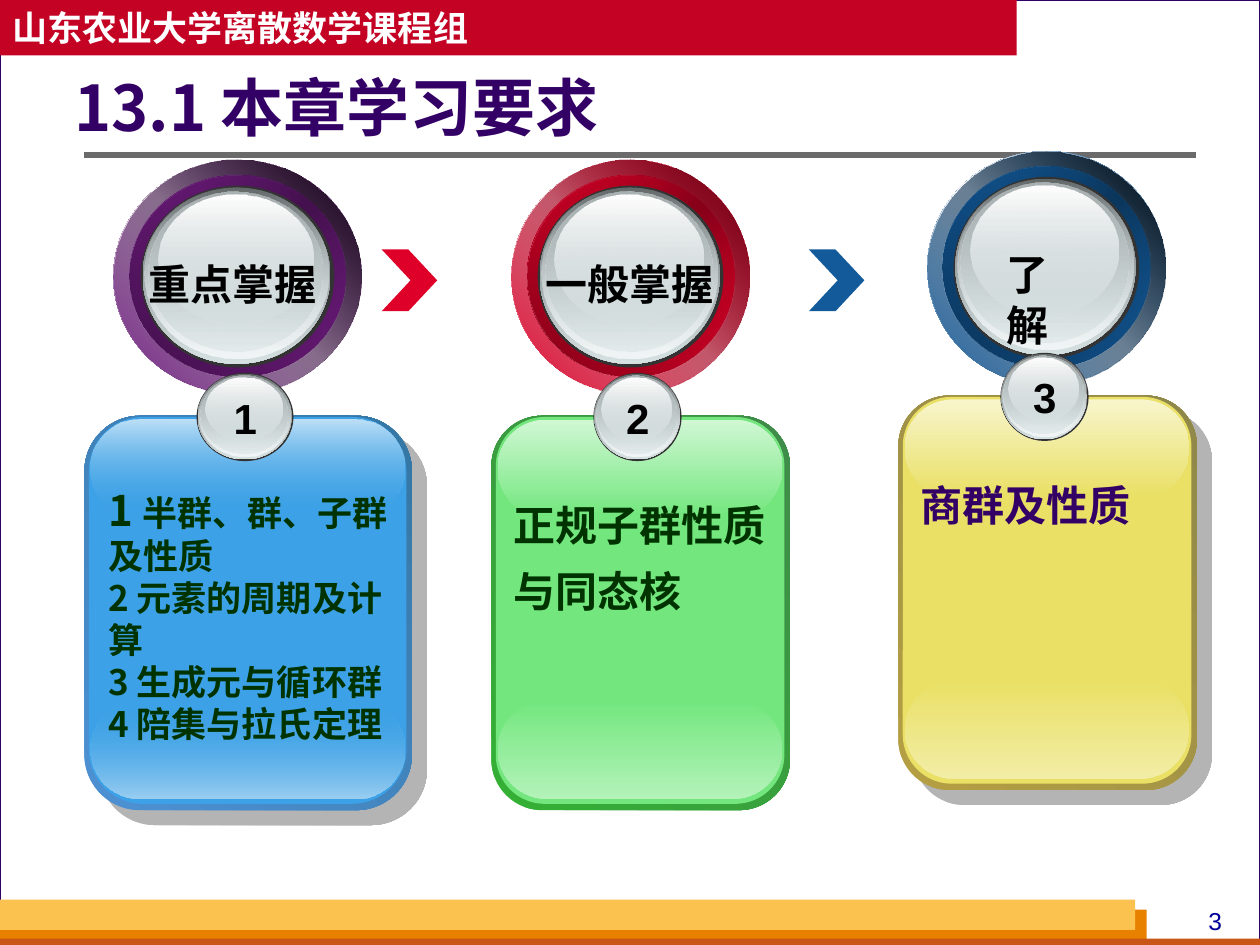
from lxml.etree import SubElement
from pptx import Presentation
from pptx.dml.color import RGBColor
from pptx.enum.shapes import MSO_CONNECTOR as Connector, MSO_SHAPE as Shape
from pptx.enum.text import MSO_ANCHOR as Anchor, PP_ALIGN as Align
from pptx.oxml.ns import qn
from pptx.util import Inches, Pt

COLOURS = {
    "white": "FFFFFF", "black": "000000", "backdrop": "D8DADA", "indigo": "330066",
    "navy": "000099", "forest": "003300", "grey": "6B6B6B", "header": "C30224",
    "orange": "E88000", "rust": "C95616", "amber": "FCC24F", "red": "DF0029",
    "blue": "135A9A", "rim": "333333", "steel": "636869", "silver": "D6E1E2",
    "pearl": "F1F5F5", "ash": "AAB2B3",
}
CJK, LATIN = "Noto Sans CJK SC", "Arial"
COLUMNS, ROWS = 100, 75


def hex_of(colour):
    return COLOURS.get(colour, colour)


def rgb(colour):
    return RGBColor.from_string(hex_of(colour))


def add_run(paragraph, text, size, font, colour, bold):
    run = paragraph.add_run()
    run.text = text
    run.font.size, run.font.bold, run.font.name = Pt(size), bold, font
    run.font.color.rgb = rgb(colour)
    SubElement(run.font._element, qn("a:ea")).set("typeface", CJK)


def write(shape, text, size=24, font=CJK, colour="black", bold=True, align=Align.LEFT,
          spacing=None, anchor=Anchor.TOP, wrap=True, left_inset=0.1, number_size=None):
    frame = shape.text_frame
    frame.word_wrap, frame.vertical_anchor = wrap, anchor
    frame.margin_left, frame.margin_right = Inches(left_inset), Inches(0.1)
    frame.margin_top = frame.margin_bottom = Inches(0.05)
    for index, line in enumerate(text.split("\n")):
        paragraph = frame.add_paragraph() if index else frame.paragraphs[0]
        paragraph.alignment = align
        if spacing:
            paragraph.line_spacing = spacing
        if number_size and index == 0:
            number, space, line = line.partition(" ")
            add_run(paragraph, number + space, number_size, font, colour, bold)
        add_run(paragraph, line, size, font, colour, bold)


class SlideBuilder:
    def __init__(self, presentation):
        self.column = presentation.slide_width / COLUMNS
        self.row = presentation.slide_height / ROWS
        self.slide = presentation.slides.add_slide(presentation.slide_layouts[5])
        self.slide.background.fill.solid()
        self.slide.background.fill.fore_color.rgb = rgb("backdrop")
        self.canvas = self.slide.shapes

    def start_group(self):
        self.canvas = self.slide.shapes.add_group_shape().shapes

    def end_group(self):
        self.canvas = self.slide.shapes

    def box(self, left, top, width, height):
        return (round(left * self.column), round(top * self.row),
                round(width * self.column), round(height * self.row))

    def shape(self, kind, area, fill, adjust=None, line=None):
        shape = self.canvas.add_shape(kind, *self.box(*area))
        if adjust is not None:
            shape.adjustments[0] = adjust
        shape.fill.solid()
        shape.fill.fore_color.rgb = rgb(fill)
        if line:
            shape.line.color.rgb, shape.line.width = rgb(line), Pt(0.75)
        else:
            shape.line.fill.background()
        shape.shadow.inherit = False
        return shape

    def gradient(self, kind, area, stops, angle=270, adjust=None):
        shape = self.shape(kind, area, "white", adjust)
        shape.fill.gradient()
        shape.fill.gradient_angle = angle
        stop_list = shape._element.spPr.find(".//" + qn("a:gsLst"))
        stop_list.clear()
        for index, (colour, opacity) in enumerate(stops):
            stop = SubElement(stop_list, qn("a:gs"))
            stop.set("pos", str(round(100000 * index / (len(stops) - 1))))
            tint = SubElement(stop, qn("a:srgbClr"))
            tint.set("val", hex_of(colour))
            if opacity < 100:
                SubElement(tint, qn("a:alpha")).set("val", str(opacity * 1000))
        return shape

    def drop_shadow(self, shape):
        effects = shape._element.spPr.find(qn("a:effectLst"))
        shadow = SubElement(effects, qn("a:outerShdw"), blurRad="0", dist=str(Pt(12.1)),
                            dir="2700000", algn="ctr", rotWithShape="0")
        tint = SubElement(shadow, qn("a:srgbClr"), val=hex_of("grey"))
        SubElement(tint, qn("a:alpha"), val="50000")

    def text(self, area, text, **style):
        write(self.canvas.add_textbox(*self.box(*area)), text, **style)

    def title(self, area, text, **style):
        title = self.slide.shapes.title
        title.left, title.top, title.width, title.height = self.box(*area)
        self.slide.shapes._spTree.append(title._element)
        write(title, text, **style)

    def rule(self, left, right, top):
        x1, y, x2, _ = self.box(left, top, right, 0)
        line = self.canvas.add_connector(Connector.STRAIGHT, x1, y, x2, y)
        line.line.color.rgb, line.line.width = rgb("grey"), Pt(3)
        SubElement(line._element.spPr, qn("a:effectLst"))

    def ball(self, left, top, width, height):
        self.shape(Shape.OVAL, (left, top, width, height), "rim")
        layers = [
            ((0.01, 0.01, 0.97, 0.97), [("steel", 100), ("silver", 100)]),
            ((0.02, 0.01, 0.95, 0.94), [("silver", 0), ("pearl", 100)]),
            ((0.04, 0.03, 0.9, 0.88), [("ash", 100), ("silver", 48)]),
            ((0.09, 0.05, 0.8, 0.71), [("white", 100), ("silver", 38)]),
        ]
        for (x, y, w, h), stops in layers:
            self.gradient(Shape.OVAL, (left + x * width, top + y * height,
                                       w * width, h * height), stops)

    def medallion(self, area, hue, mid, deep, edge, label, label_area, wrap=True):
        left, top, width, height = area
        ring = (left + 0.065 * width, top + 0.065 * height, 0.87 * width, 0.865 * height)
        self.start_group()
        self.gradient(Shape.OVAL, area, [(hue, 100), ("white", 100), (hue, 100)], 45)
        self.gradient(Shape.OVAL, area, [(hue, 32), edge], 45)
        self.gradient(Shape.OVAL, ring, [(hue, 100), (mid, 100), (hue, 100)], 315)
        self.gradient(Shape.OVAL, ring, [(deep, 100), (hue, 0)], 45)
        self.ball(left + 0.11 * width, top + 0.11 * height, 0.78 * width, 0.78 * height)
        self.text(label_area, label, font=LATIN, spacing=Pt(29.5), wrap=wrap)
        self.end_group()

    def panel(self, left, top, width, border, face, foot, head, fade, badge, number,
              text, text_area, shadow=False, **style):
        rounded = Shape.ROUNDED_RECTANGLE
        self.start_group()
        frame = self.gradient(rounded, (left, top, width, 31.3),
                              [(colour, 100) for colour in border], 45, 0.17)
        if shadow:
            self.drop_shadow(frame)
        self.shape(rounded, (left + 0.35, top + 0.1, width - 0.8, 30.7), face, 0.17)
        gloss = (left + 0.5, width - 1.1)
        self.gradient(rounded, (gloss[0], top + 22.6, gloss[1], 7.8),
                      [(face, fade), (foot, 100)], adjust=0.5)
        self.gradient(rounded, (gloss[0], top + 0.3, gloss[1], 7.7),
                      [(head, 100), (face, fade)], adjust=0.5)
        badge_left, badge_width = badge
        self.ball(badge_left, top - 3.4, badge_width, 7)
        self.text((badge_left + badge_width / 2 - 1.9, top - 2.4, 3.8, 5), number,
                  font=LATIN, align=Align.CENTER, wrap=False, spacing=Pt(29))
        self.text(text_area, text, **style)
        self.end_group()


def main():
    presentation = Presentation()
    presentation.slide_width, presentation.slide_height = Inches(10), Inches(7.5)
    page = SlideBuilder(presentation)

    page.shape(Shape.RECTANGLE, (0, 0, 100, 75), "white", line="indigo")
    for area, colour in [((0, 72.2, 91, 2.8), "orange"), ((0, 74.5, 100, 0.5), "rust"),
                         ((0, 71.4, 90.1, 2.4), "amber")]:
        page.shape(Shape.RECTANGLE, area, colour)
    page.text((93.3, 71.4, 6.3, 3.4), "3", size=14, font=LATIN, colour="navy", bold=False,
              align=Align.CENTER)
    page.rule(6.7, 94.9, 12.3)
    header = page.shape(Shape.RECTANGLE, (0, 0, 80.7, 4.4), "header")
    write(header, "山东农业大学离散数学课程组", size=20, colour="white", anchor=Anchor.MIDDLE,
          wrap=False)
    page.title((5.9, 5.4, 77.8, 6.9), "13.1 本章学习要求", size=36, colour="indigo",
               anchor=Anchor.MIDDLE, left_inset=0, spacing=0.9)

    for left, colour in [(30.3, "red"), (64.2, "blue")]:
        page.shape(Shape.CHEVRON, (left, 19.8, 4.4, 4.9), colour, 0.52)

    page.medallion((9, 12.7, 19.7, 18.5), "711C81", "3D0F46", "481252", ("black", 90),
                   "重点掌握", (10.8, 19.9, 16.1, 5))
    page.medallion((40.6, 12.7, 18.9, 18.5), "red", "790016", "8E001A", ("670013", 100),
                   "一般掌握", (42.3, 19.9, 15.6, 5))
    page.medallion((73.6, 12, 18.9, 18.5), "blue", "0A3153", "0C3962", ("black", 90),
                   "了解", (78.9, 19.1, 8.6, 5), wrap=False)

    page.panel(6.7, 33, 26, ("4E91D4", "3477A4"), "3CA1E6", "9BCFF2", "BEE0F7", 0,
               (15.6, 7.7), "1",
               "1 半群、群、子群及性质\n2 元素的周期及计算\n3 生成元与循环群\n4 陪集与拉氏定理",
               (7.6, 38.6, 24.7, 20.9), shadow=True, size=20, number_size=24,
               colour="forest", spacing=Pt(24))
    page.panel(71.3, 31.4, 23.7, ("B59F43", "8F8849"), "E9E065", "F2EDA6", "F8F5CC", 100,
               (79.4, 7), "3", "商群及性质", (72.1, 36.4, 22.5, 6.2), shadow=True,
               colour="indigo", spacing=Pt(37.4))
    page.panel(39, 33, 23.7, ("34B034", "3F8B4A"), "73E77E", "B3F2B9", "D0F7D4", 100,
               (47.1, 7), "2", "正规子群性质与同态核", (39.8, 38, 22.5, 11.4),
               colour="forest", spacing=Pt(37.4))

    presentation.save("out.pptx")


if __name__ == "__main__":
    main()
